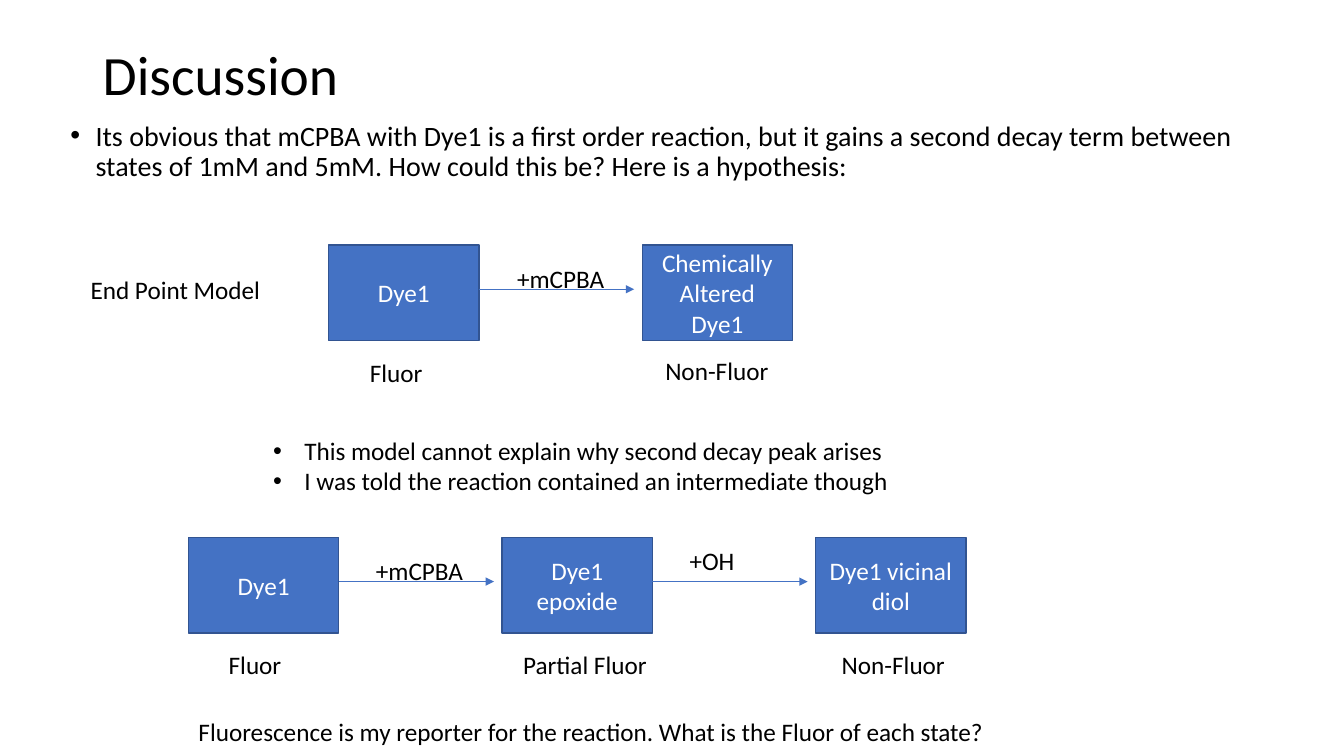
from lxml import etree
from pptx import Presentation
from pptx.dml.color import RGBColor
from pptx.enum.shapes import MSO_CONNECTOR, MSO_SHAPE
from pptx.enum.text import MSO_ANCHOR, PP_ALIGN
from pptx.oxml.ns import qn
from pptx.util import Pt

PX = 9144  # 100 px to the inch
FONT = "Calibri"
BLACK = RGBColor(0x00, 0x00, 0x00)
WHITE = RGBColor(0xFF, 0xFF, 0xFF)
BLUE = RGBColor(0x44, 0x72, 0xC4)
DARK_BLUE = RGBColor(0x32, 0x54, 0x91)
RECTANGLE = MSO_SHAPE.RECTANGLE
STRAIGHT = MSO_CONNECTOR.STRAIGHT
MIDDLE = MSO_ANCHOR.MIDDLE
CENTER = PP_ALIGN.CENTER

STATE_WIDTH, STATE_HEIGHT, STATE_STEP = 149, 95, 311
ARROW_LENGTH = 154


def write(shape, lines, size=18, color=BLACK, indent=0, wrap=False):
    """Fill the shape with one paragraph per line, bulleted if indent is set."""
    frame = shape.text_frame
    frame.word_wrap = wrap
    frame.text = "\n".join(lines)
    for para in frame.paragraphs:
        if indent:
            properties = para._p.get_or_add_pPr()
            properties.set("marL", str(indent * PX))
            properties.set("indent", str(-indent * PX))
            etree.SubElement(properties, qn("a:buFont")).set("typeface", "Arial")
            etree.SubElement(properties, qn("a:buChar")).set("char", "•")
        para.font.name = FONT
        para.font.size = Pt(size)
        para.font.color.rgb = color
    return frame


def add_text(left, top, width, height, lines, **style):
    box = page.shapes.add_textbox(left * PX, top * PX, width * PX, height * PX)
    return write(box, lines, **style)


deck = Presentation()
deck.slide_width, deck.slide_height = 1333 * PX, 750 * PX
page = deck.slides.add_slide(deck.slide_layouts[6])

title = add_text(92, 40, 1150, 74, ["Discussion"], size=39.6, wrap=True)
title.vertical_anchor = MIDDLE
title.paragraphs[0].line_spacing = 0.9

question = add_text(60, 116, 1237, 102, [
    "Its obvious that mCPBA with Dye1 is a first order reaction, but it gains a "
    "second decay term between states of 1mM and 5mM. How could this be? "
    "Here is a hypothesis:"], size=20, indent=25, wrap=True)
question.paragraphs[0].line_spacing = 0.9

# Each model: left and top of its first state, then the names of its states
models = [
    (326, 243, ["Dye1", "Chemically Altered Dye1"]),
    (187, 533, ["Dye1", "Dye1 epoxide", "Dye1 vicinal diol"]),
]
for first_left, top, states in models:
    for index, state in enumerate(states):
        left = first_left + index * STATE_STEP
        box = page.shapes.add_shape(
            RECTANGLE, left * PX, top * PX, STATE_WIDTH * PX, STATE_HEIGHT * PX)
        box.shadow.inherit = False
        box.fill.solid()
        box.fill.fore_color.rgb = BLUE
        box.line.color.rgb = DARK_BLUE
        box.line.width = Pt(1)
        frame = write(box, [state], color=WHITE, wrap=True)
        frame.vertical_anchor = MIDDLE
        frame.paragraphs[0].alignment = CENTER

        if index < len(states) - 1:
            start, level = left + STATE_WIDTH, top + 44
            arrow = page.shapes.add_connector(
                STRAIGHT, start * PX, level * PX,
                (start + ARROW_LENGTH) * PX, level * PX)
            arrow.line.color.rgb = BLUE
            arrow.line.width = Pt(0.5)
            etree.SubElement(arrow.line._get_or_add_ln(), qn("a:tailEnd")).set(
                "type", "triangle")
            etree.SubElement(arrow._element.spPr, qn("a:effectLst"))

labels = [
    (80, 267, 190, "End Point Model"),
    (503, 256, 107, "+mCPBA"),
    (357, 350, 73, "Fluor"),
    (650, 348, 124, "Non-Fluor"),
    (363, 546, 107, "+mCPBA"),
    (674, 536, 65, "+OH"),
    (217, 639, 73, "Fluor"),
    (509, 639, 144, "Partial Fluor"),
    (825, 639, 124, "Non-Fluor"),
    (187, 706, 811, "Fluorescence is my reporter for the reaction. "
                    "What is the Fluor of each state?"),
]
for left, top, width, label in labels:
    add_text(left, top, width, 40, [label])

add_text(261, 427, 632, 71, [
    "This model cannot explain why second decay peak arises",
    "I was told the reaction contained an intermediate though"], indent=31)

deck.save("out.pptx")
